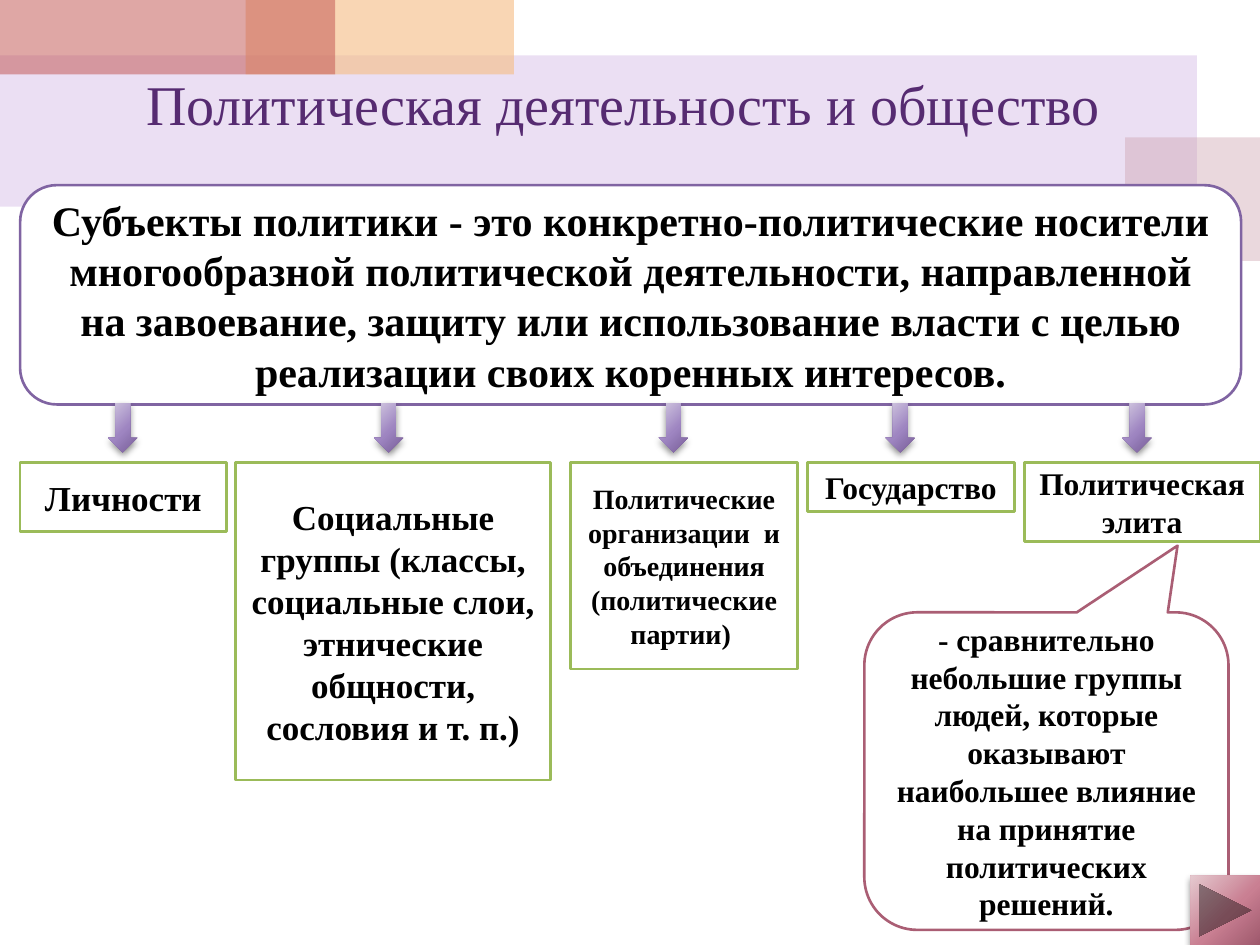
from pptx import Presentation
from pptx.dml.color import RGBColor
from pptx.enum import shapes, text
from pptx.oxml import parse_xml
from pptx.oxml.ns import nsdecls, qn
from pptx.util import Inches, Pt

COLORS = {
    "lilac": "BF98D8", "rose": "CC9EAC", "peach": "F5BC83", "red": "C0504D",
    "title": "562B71", "text": "000000", "white": "FFFFFF",
    "purple": "8064A2", "green": "9BBB59", "wine": "AA5E74",
}
PURPLE_GLOW = ("D4CBE2", "9E85C1", "775D97")
WINE_GLOW = ("E5C9CF", "C97F92", "9E586C")
FONT = "Times New Roman"
KIND = shapes.MSO_SHAPE

deck = Presentation()
deck.slide_width, deck.slide_height = Inches(10), Inches(7.5)
page = deck.slides.add_slide(deck.slide_layouts[5])


def add_box(kind, place, fill, line=None, words="", size=18):
    """Add a solid shape with an optional outline and bold centred text."""
    box = page.shapes.add_shape(kind, *map(Inches, place))
    box.shadow.inherit = False
    box.fill.solid()
    box.fill.fore_color.rgb = RGBColor.from_string(COLORS[fill])
    if line:
        box.line.color.rgb = RGBColor.from_string(COLORS[line])
        box.line.width = Pt(1.5)
    else:
        box.line.fill.background()
    if words:
        frame = box.text_frame
        frame.word_wrap = True
        frame.vertical_anchor = text.MSO_ANCHOR.MIDDLE
        para = frame.paragraphs[0]
        para.text = words
        para.alignment = text.PP_ALIGN.CENTER
        para.font.name, para.font.size, para.font.bold = FONT, Pt(size), True
        para.font.color.rgb = RGBColor.from_string(COLORS["text"])
    return box


def add_glossy(kind, place, glow):
    """Add a shape with a radial gradient and a soft shadow below it."""
    box = page.shapes.add_shape(kind, *map(Inches, place))
    box.line.fill.background()
    stops = "".join(
        f'<a:gs pos="{pos}"><a:srgbClr val="{color}"/></a:gs>'
        for pos, color in zip((0, 55000, 100000), glow))
    properties = box.element.spPr
    properties.find(qn("a:prstGeom")).addnext(parse_xml(
        f'<a:gradFill {nsdecls("a")} rotWithShape="1"><a:gsLst>{stops}</a:gsLst>'
        '<a:path path="circle"><a:fillToRect l="-40000" t="-90000" '
        'r="140000" b="190000"/></a:path></a:gradFill>'))
    properties.append(parse_xml(
        f'<a:effectLst {nsdecls("a")}><a:outerShdw blurRad="{Pt(4)}" '
        f'dist="{Pt(2)}" dir="5400000" algn="ctr" rotWithShape="0">'
        '<a:srgbClr val="000000"><a:alpha val="45000"/></a:srgbClr>'
        '</a:outerShdw></a:effectLst>'))


# Title over translucent bands
title = page.shapes.title
title.left, title.top = Inches(0.45), Inches(0.29)
title.width, title.height = Inches(9), Inches(1.05)
title.text_frame.vertical_anchor = text.MSO_ANCHOR.MIDDLE
heading = title.text_frame.paragraphs[0]
heading.text = "Политическая деятельность и общество"
heading.alignment = text.PP_ALIGN.CENTER
heading.font.name, heading.font.size = FONT, Pt(32)
heading.font.color.rgb = RGBColor.from_string(COLORS["title"])

for place, color, opacity in (
    ((0, 0.44, 9.5, 1.2), "lilac", 30),
    ((8.93, 1.09, 1.07, 0.98), "rose", 40),
    ((1.95, 0, 2.13, 0.59), "peach", 60),
    ((0, 0, 2.66, 0.59), "red", 50),
):
    band = add_box(KIND.RECTANGLE, place, color)
    tint = band.element.spPr.find(qn("a:solidFill"))[0]
    tint.append(parse_xml(f'<a:alpha {nsdecls("a")} val="{opacity * 1000}"/>'))
    title.element.addprevious(band.element)

# Definition and the subjects of politics
add_box(KIND.ROUNDED_RECTANGLE, (0.16, 1.47, 9.69, 1.74), "white", "purple",
        "Субъекты политики - это конкретно-политические носители многообразной "
        "политической деятельности, направленной на завоевание, защиту или "
        "использование власти с целью реализации своих коренных интересов.", 24)

SUBJECTS = (
    (0.16, 1.64, 0.55, 20, "Личности"),
    (1.87, 2.5, 2.52, 20, "Социальные группы (классы, социальные слои, "
                          "этнические общности, сословия и т. п.)"),
    (4.53, 1.8, 1.64, 16, "Политические организации  и объединения "
                          "(политические партии) "),
    (6.41, 1.64, 0.39, 18, "Государство"),
    (8.13, 1.87, 0.63, 18, "Политическая элита"),
)
for left, width, height, size, words in SUBJECTS:
    add_box(KIND.FLOWCHART_PROCESS, (left, 3.67, width, height),
            "white", "green", words, size)

for left in (0.86, 2.97, 5.23, 7.03, 8.91):
    add_glossy(KIND.DOWN_ARROW, (left, 3.2, 0.23, 0.39), PURPLE_GLOW)

# Explanation of the political elite
callout = add_box(
    KIND.ROUNDED_RECTANGULAR_CALLOUT, (6.86, 4.86, 2.89, 2.52), "white", "wine",
    "- сравнительно небольшие группы людей, которые оказывают наибольшее "
    "влияние на принятие политических решений.")
callout.adjustments[0] = 0.36
callout.adjustments[1] = -0.71

add_glossy(KIND.ACTION_BUTTON_FORWARD_OR_NEXT, (9.45, 6.95, 0.55, 0.55), WINE_GLOW)

deck.save("out.pptx")
